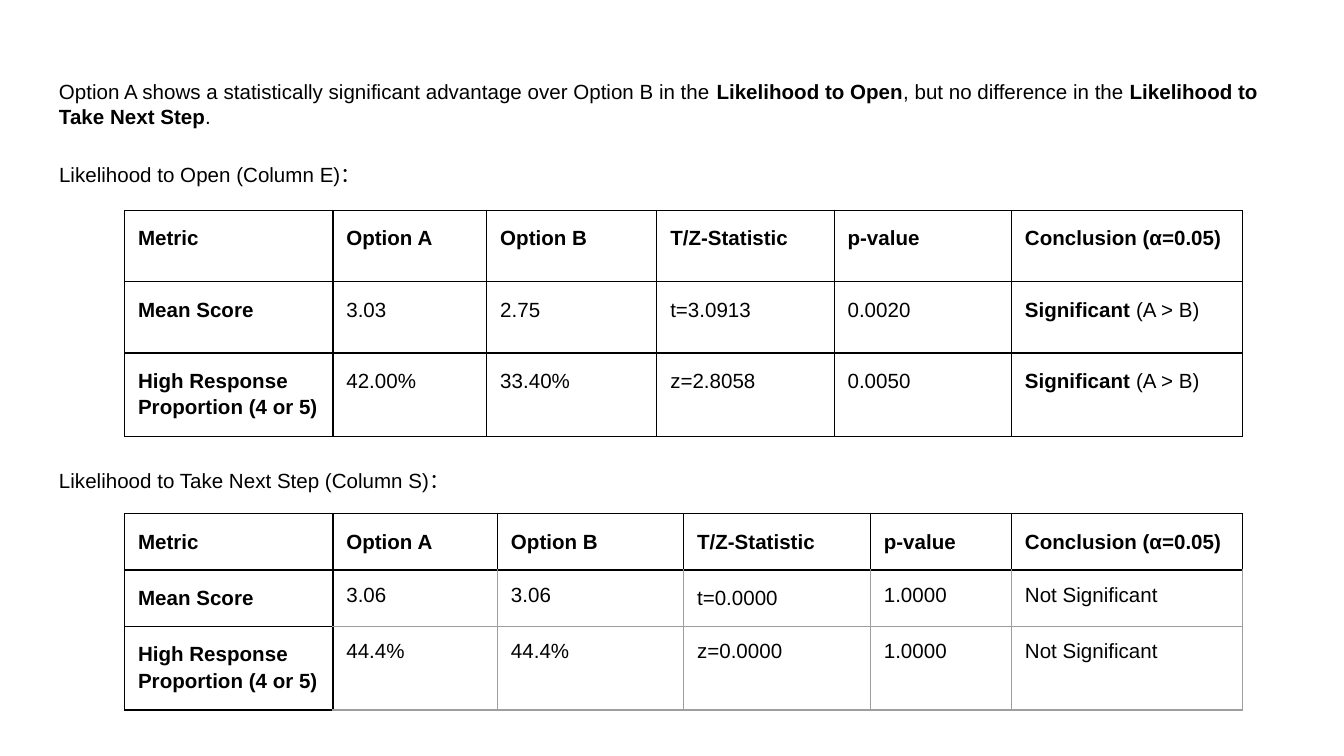
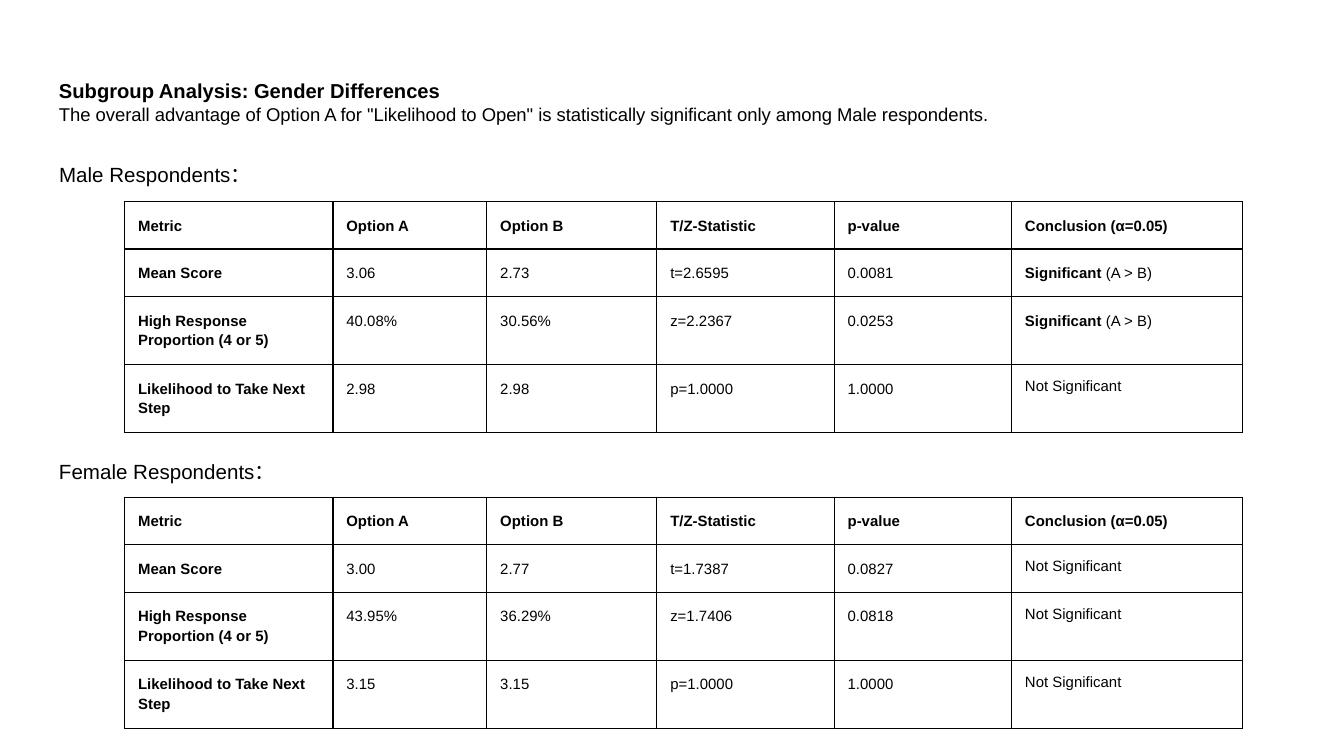
from dataclasses import dataclass

from lxml import etree
from pptx import Presentation
from pptx import util as u
from pptx.dml.color import RGBColor
from pptx.enum import text
from pptx.oxml import ns


@dataclass(frozen=True)
class Theme:
    font: str = "Arial"
    ink: str = "000000"
    soft_rule: str = "9E9E9E"
    body: float = 11
    heading: float = 10.8
    summary: float = 9.9
    compact: float = 8
    rule: float = 0.75
    inset: float = 1
    cell_leading: float = 1.15
    cell_after: float = 24


@dataclass(frozen=True)
class Box:
    left: float
    top: float
    width: float
    height: float


THEME = Theme()
GRID_COLUMNS, GRID_ROWS = 100, 56.25
SLIDE_WIDTH = u.Inches(10)
SLIDE_HEIGHT = SLIDE_WIDTH * 9 // 16

HEADER = ["Metric", "Option A", "Option B", "T/Z-Statistic", "p-value", "Conclusion (α=0.05)"]
MEAN = "Mean Score"
HIGH = "High Response Proportion (4 or 5)"
NEXT_STEP = "Likelihood to Take Next Step"
A_WINS = "**Significant** (A > B)"
NO_EFFECT = "Not Significant"

METRIC_COLUMNS = (15.5, 11.45, 12.65, 13.2, 13.2, 17.2)
NEXT_STEP_COLUMNS = (15.5, 12.25, 13.85, 13.9, 10.5, 17.2)
COMPACT_ROWS = (3.5, 3.5, 4, 4)

INTRO = Box(3.41, 4.87, 93.18, 6.26)
TABLE_INDENT = 5.86
LABEL_HEIGHT = 3.9


def across(columns):
    return round(SLIDE_WIDTH * columns / GRID_COLUMNS)


def down(rows):
    return round(SLIDE_HEIGHT * rows / GRID_ROWS)


def write(paragraph, words, size, bold=False):
    """Fill a paragraph; words between ** marks are bold."""
    paragraph.font.name = THEME.font
    paragraph.font.size = u.Pt(size)
    paragraph.font.color.rgb = RGBColor.from_string(THEME.ink)
    parts = words.split("**")
    if len(parts) == 1:
        paragraph.font.bold = bold
    for index, part in enumerate(parts):
        if part:
            run = paragraph.add_run()
            run.text = part
            if len(parts) > 1:
                run.font.bold = index % 2 == 1


def set_insets(holder):
    holder.margin_left = holder.margin_right = across(THEME.inset)
    holder.margin_top = holder.margin_bottom = down(THEME.inset)


def add_text(slide, box, lines, grow=False):
    """Each line is (words, size, bold)."""
    frame = slide.shapes.add_textbox(
        across(box.left), down(box.top), across(box.width), down(box.height)).text_frame
    set_insets(frame)
    frame.word_wrap = True
    if grow:
        frame.auto_size = text.MSO_AUTO_SIZE.SHAPE_TO_FIT_TEXT
    for index, line in enumerate(lines):
        paragraph = frame.add_paragraph() if index else frame.paragraphs[0]
        write(paragraph, *line)


def rule_cell(cell, colours):
    """Draw the left, right, top and bottom rules of a cell."""
    properties = cell._tc.get_or_add_tcPr()
    for side, colour in zip("LRTB", colours):
        line = etree.SubElement(properties, ns.qn(f"a:ln{side}"), w=str(u.Pt(THEME.rule)))
        fill = etree.SubElement(line, ns.qn("a:solidFill"))
        etree.SubElement(fill, ns.qn("a:srgbClr"), val=colour)


def rule_colours(row, column, soft):
    """Soft tables keep dark rules only around the header row and metric column."""
    if not soft or row == 0 or column == 0:
        return (THEME.ink,) * 4
    return (THEME.ink if column == 1 else THEME.soft_rule, THEME.soft_rule,
            THEME.ink if row == 1 else THEME.soft_rule, THEME.soft_rule)


def add_results(slide, left, top, columns, rows, results, size, tight, soft):
    """Cells whose words are in tight have single spacing and no space after."""
    table = slide.shapes.add_table(
        len(rows), len(columns), across(left), down(top),
        across(sum(columns)), down(sum(rows))).table
    table.first_row = table.horz_banding = False
    for column, width in zip(table.columns, columns):
        column.width = across(width)
    for row, height in zip(table.rows, rows):
        row.height = down(height)
    for r, values in enumerate([HEADER] + results):
        for c, words in enumerate(values):
            cell = table.cell(r, c)
            rule_cell(cell, rule_colours(r, c, soft))
            cell.fill.background()
            set_insets(cell)
            paragraph = cell.text_frame.paragraphs[0]
            if words not in tight:
                paragraph.line_spacing = THEME.cell_leading
                paragraph.space_after = u.Pt(THEME.cell_after)
            write(paragraph, words, size, bold=r == 0 or c == 0)


def add_section(slide, label_box, label, table_offset, rows, results,
                columns=METRIC_COLUMNS, size=THEME.body, tight=(NO_EFFECT,), soft=False):
    """A label with its results table, indented below it."""
    add_text(slide, label_box, [(label, THEME.body)], grow=True)
    add_results(slide, label_box.left + TABLE_INDENT, label_box.top + table_offset,
                columns, rows, results, size, tight, soft)


def build_overall(slide, box):
    add_text(slide, box, [(
        "Option A shows a statistically significant advantage over Option B in the "
        "**Likelihood to Open**, but no difference in the **Likelihood to Take Next Step**.",
        THEME.body)])
    add_section(
        slide, Box(box.left, box.top + box.height, 32.8, LABEL_HEIGHT),
        "Likelihood to Open (Column E)：", 4.53, (5.3, 5.3, 5.9),
        [[MEAN, "3.03", "2.75", "t=3.0913", "0.0020", A_WINS],
         [HIGH, "42.00%", "33.40%", "z=2.8058", "0.0050", A_WINS]])
    add_section(
        slide, Box(box.left, box.top + 29.05, 41.6, LABEL_HEIGHT),
        "Likelihood to Take Next Step (Column S)：", 4.3, (4.2, 4.2, 4.2),
        [[MEAN, "3.06", "3.06", "t=0.0000", "1.0000", NO_EFFECT],
         [HIGH, "44.4%", "44.4%", "z=0.0000", "1.0000", NO_EFFECT]],
        columns=NEXT_STEP_COLUMNS, soft=True,
        tight=("3.06", "44.4%", "z=0.0000", "1.0000", NO_EFFECT))


def build_gender(slide, box):
    add_text(slide, box, [
        ("Subgroup Analysis: Gender Differences", THEME.heading, True),
        ('The overall advantage of Option A for "Likelihood to Open" is statistically '
         "significant only among Male respondents.", THEME.summary)])
    add_section(
        slide, Box(box.left, box.top + box.height, 32.8, LABEL_HEIGHT),
        "Male Respondents：", 3.87, COMPACT_ROWS,
        [[MEAN, "3.06", "2.73", "t=2.6595", "0.0081", A_WINS],
         [HIGH, "40.08%", "30.56%", "z=2.2367", "0.0253", A_WINS],
         [NEXT_STEP, "2.98", "2.98", "p=1.0000", "1.0000", NO_EFFECT]],
        size=THEME.compact)
    add_section(
        slide, Box(box.left, box.top + 28.33, 41.6, LABEL_HEIGHT),
        "Female Respondents：", 3.8, COMPACT_ROWS,
        [[MEAN, "3.00", "2.77", "t=1.7387", "0.0827", NO_EFFECT],
         [HIGH, "43.95%", "36.29%", "z=1.7406", "0.0818", NO_EFFECT],
         [NEXT_STEP, "3.15", "3.15", "p=1.0000", "1.0000", NO_EFFECT]],
        size=THEME.compact)


def main():
    deck = Presentation()
    deck.slide_width, deck.slide_height = SLIDE_WIDTH, SLIDE_HEIGHT
    blank = deck.slide_layouts[6]
    for build in (build_overall, build_gender):
        build(deck.slides.add_slide(blank), INTRO)
    deck.save("out.pptx")


if __name__ == "__main__":
    main()
